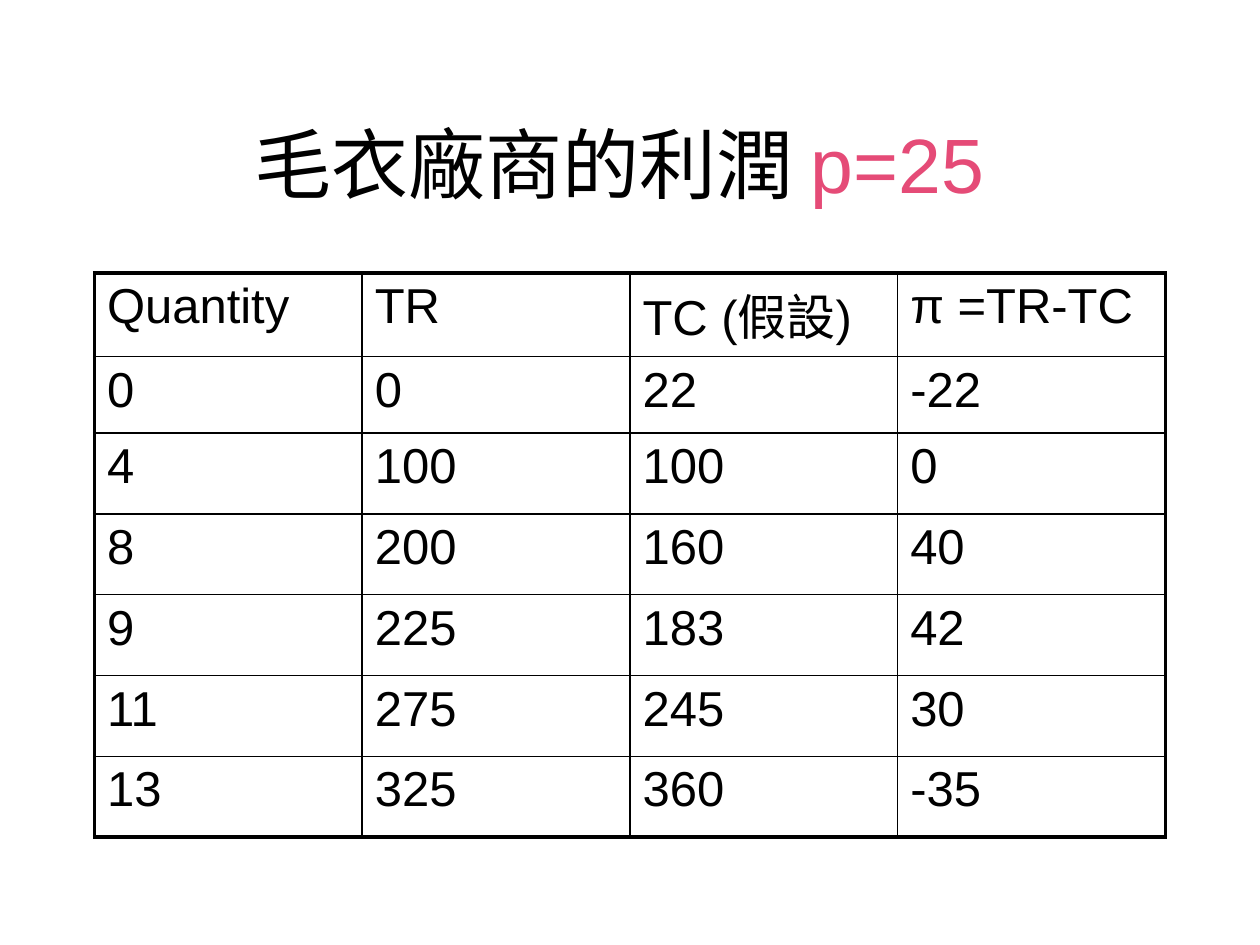
"""Build the slide on the sweater maker's profit at p=25."""
from pptx import Presentation
from pptx.dml.color import RGBColor
from pptx.enum.text import MSO_ANCHOR, PP_ALIGN
from pptx.oxml import parse_xml
from pptx.oxml.ns import nsdecls
from pptx.util import Pt

HEADING = [("毛衣廠商的利潤 ", "000000"), ("p=25 ", "E54B77")]
PROFITS = [
    ("Quantity", "TR", "TC (假設)", "π =TR-TC"),
    ("0", "0", "22", "-22"),
    ("4", "100", "100", "0"),
    ("8", "200", "160", "40"),
    ("9", "225", "183", "42"),
    ("11", "275", "245", "30"),
    ("13", "325", "360", "-35"),
]
INK = "000000"
LEFT, WIDTH = 54, 612
TITLE_TOP, TITLE_HEIGHT = 48, 90
TABLE_TOP = 156
ROW_HEIGHTS = [46.2, 43.8] + [46.2] * 5
OUTER, INNER = 2.25, 1


def format_run(run, size, color):
    for name, value in {"name": "Arial", "size": Pt(size), "bold": False}.items():
        setattr(run.font, name, value)
    run.font.color.rgb = RGBColor.from_string(color)


def set_borders(cell, widths):
    properties = cell._tc.get_or_add_tcPr()
    for position, (side, width) in enumerate(widths.items()):
        properties.insert(position, parse_xml(
            f'<a:ln{side} {nsdecls("a")} w="{Pt(width)}"><a:solidFill>'
            f'<a:srgbClr val="{INK}"/></a:solidFill></a:ln{side}>'))


def add_heading(slide):
    title = slide.shapes.title
    place = {"left": LEFT, "top": TITLE_TOP, "width": WIDTH, "height": TITLE_HEIGHT}
    for name, value in place.items():
        setattr(title, name, Pt(value))
    title.text_frame.vertical_anchor = MSO_ANCHOR.MIDDLE
    line = title.text_frame.paragraphs[0]
    line.alignment = PP_ALIGN.CENTER
    for words, color in HEADING:
        run = line.add_run()
        run.text = words
        format_run(run, 44, color)


def add_profit_table(slide):
    row_count, column_count = len(PROFITS), len(PROFITS[0])
    table = slide.shapes.add_table(
        row_count, column_count, Pt(LEFT), Pt(TABLE_TOP), Pt(WIDTH), Pt(sum(ROW_HEIGHTS))).table
    table.first_row = table.horz_banding = False
    for row, height in zip(table.rows, ROW_HEIGHTS):
        row.height = Pt(height)
    for r, values in enumerate(PROFITS):
        for c, value in enumerate(values):
            cell = table.cell(r, c)
            cell.fill.background()
            on_edge = {"L": c == 0, "R": c == column_count - 1,
                       "T": r == 0, "B": r == row_count - 1}
            set_borders(cell, {side: OUTER if edge else INNER for side, edge in on_edge.items()})
            run = cell.text_frame.paragraphs[0].add_run()
            run.text = value
            format_run(run, 28, INK)


def main():
    deck = Presentation()
    deck.slide_width, deck.slide_height = Pt(720), Pt(540)
    slide = deck.slides.add_slide(deck.slide_layouts[5])
    add_heading(slide)
    add_profit_table(slide)
    deck.save("out.pptx")


if __name__ == "__main__":
    main()
